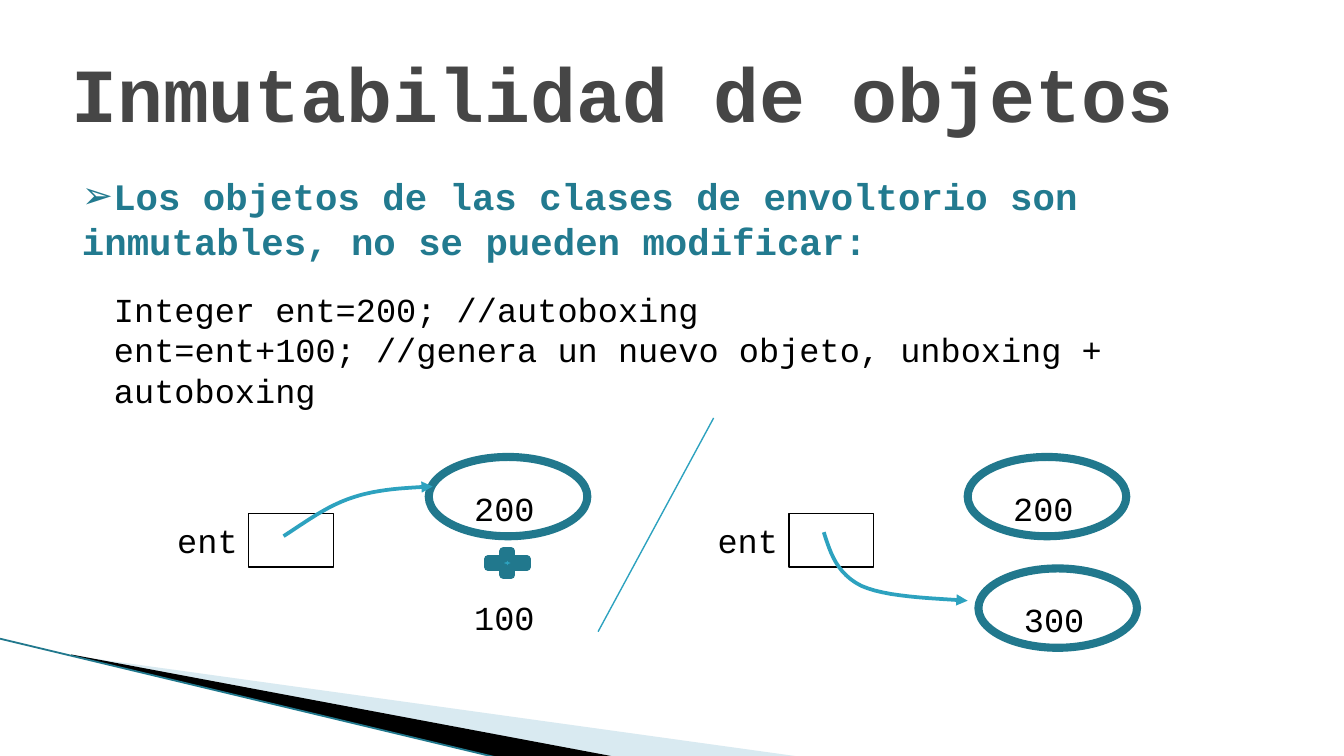
from pptx import Presentation
from pptx.dml.color import RGBColor
from pptx.enum.shapes import MSO_CONNECTOR, MSO_SHAPE
from pptx.enum.text import MSO_ANCHOR, PP_ALIGN
from pptx.oxml.ns import qn
from pptx.util import Inches, Pt
from lxml import etree

COLORS = {"title": "464646", "lead": "227A8F", "ring": "21788D", "accent": "2DA2BF",
          "pale": "A0CBDC", "black": "000000"}
FONT = "Courier New"

prs = Presentation()
prs.slide_width = Inches(10)
prs.slide_height = prs.slide_width * 9 // 16
s = prs.slides.add_slide(prs.slide_layouts[1])


def write(p, text, size=18, color="black", bold=False):
    r = p.add_run()
    r.text = text
    r.font.name, r.font.size, r.font.bold = FONT, Pt(size), bold
    r.font.color.rgb = RGBColor.from_string(COLORS[color])


def style(shape, fill=None, line=None, width=0.75, arrow=False):
    """Set fill and line, drop the shadow, and add an arrowhead if asked."""
    if hasattr(shape, "fill"):
        shape.shadow.inherit = False
        if fill:
            shape.fill.solid()
            shape.fill.fore_color.rgb = RGBColor.from_string(COLORS[fill])
        else:
            shape.fill.background()
    else:
        etree.SubElement(shape._element.spPr, qn("a:effectLst"))
    if line:
        shape.line.color.rgb = RGBColor.from_string(COLORS[line])
        shape.line.width = Pt(width)
    else:
        shape.line.fill.background()
    if arrow:
        etree.SubElement(shape.line._get_or_add_ln(), qn("a:tailEnd"), type="triangle")


# Corner wedges
wedges = [([(0.55, 4.88), (5.95, 5.63), (4.56, 5.63)], "pale"),
          ([(0.53, 4.87), (4.57, 5.63), (3.72, 5.64), (0.54, 4.88)], "black")]
for points, fill in wedges:
    emu = [(Inches(x), Inches(y)) for x, y in points]
    fb = s.shapes.build_freeform(*emu[0])
    fb.add_line_segments(emu[1:], close=True)
    wedge = fb.convert_to_shape()
    style(wedge, fill)
    if fill == "pale":
        clr = wedge._element.spPr.find(qn("a:solidFill"))[0]
        etree.SubElement(clr, qn("a:alpha"), val="40000")

# Straight lines: corner edge and divider
for x1, y1, x2, y2, color, width in [(-0.01, 4.75, 3.71, 5.64, "ring", 0.95),
                                     (5.31, 3.11, 4.45, 4.7, "accent", 0.75)]:
    line = s.shapes.add_connector(MSO_CONNECTOR.STRAIGHT, Inches(x1), Inches(y1),
                                  Inches(x2), Inches(y2))
    style(line, line=color, width=width)

# Title and lead bullet
title, body = s.shapes.title, s.placeholders[1]
for ph, box, anchor in [(title, (0.43, 0.29, 9.06, 0.89), MSO_ANCHOR.MIDDLE),
                        (body, (0.51, 1.24, 8.9, 2.54), MSO_ANCHOR.TOP)]:
    ph.left, ph.top, ph.width, ph.height = map(Inches, box)
    ph.text_frame.vertical_anchor = anchor
    ph.text_frame.paragraphs[0].alignment = PP_ALIGN.LEFT
title.text_frame.margin_bottom = Inches(0.16)
write(title.text_frame.paragraphs[0], "Inmutabilidad de objetos", 41, "title", True)
p = body.text_frame.paragraphs[0]
p.space_before, p.space_after = Pt(6), Pt(12)
pPr = p._p.get_or_add_pPr()
pPr.set("marL", "0")
pPr.set("indent", "0")
etree.SubElement(pPr, qn("a:buChar"), char="\u27a2")
write(p, "Los objetos de las clases de envoltorio son inmutables, no se pueden modificar:",
      20, "lead", True)

# Rings, variable boxes and plus sign
rings = [(3.19, 3.4), (7.2, 3.4), (7.28, 4.23)]
variables = [1.85, 5.87]
for x, y in rings:
    ring = s.shapes.add_shape(MSO_SHAPE.OVAL, Inches(x), Inches(y), Inches(1.18), Inches(0.59))
    style(ring, line="ring", width=4.33)
for x in variables:
    box = s.shapes.add_shape(MSO_SHAPE.RECTANGLE, Inches(x), Inches(3.82),
                             Inches(0.63), Inches(0.4))
    style(box, line="black")
plus = s.shapes.add_shape(MSO_SHAPE.MATH_PLUS, Inches(3.58), Inches(4.07),
                          Inches(0.39), Inches(0.24))
style(plus, "accent", "ring", 4.33)

# Code and labels
labels = [(0.75, 2.1, 8.5, 0.71, ["Integer ent=200; //autoboxing",
           "ent=ent+100; //genera un nuevo objeto, unboxing + autoboxing"]),
          (3.43, 4.39, 0.87, 0.4, ["100"])]
labels += [(x + 0.24, y + 0.18, 0.94, 0.4, [value])
           for (x, y), value in zip(rings, ["200", "200", "300"])]
labels += [(x - 0.63, 3.82, 0.71, 0.4, ["ent"]) for x in variables]
for x, y, w, h, lines in labels:
    tf = s.shapes.add_textbox(Inches(x), Inches(y), Inches(w), Inches(h)).text_frame
    tf.word_wrap = True
    for i, text in enumerate(lines):
        write(tf.add_paragraph() if i else tf.paragraphs[0], text)

# Curved reference arrows, sampled from cubic Bezier pieces
curves = [[(2.11, 3.99), (2.28, 3.88), (2.44, 3.76), (2.63, 3.7),
           (2.81, 3.64), (3.02, 3.63), (3.22, 3.62)],
          [(6.13, 3.96), (6.18, 4.12), (6.23, 4.27), (6.41, 4.36),
           (6.59, 4.44), (6.9, 4.45), (7.2, 4.47)]]
STEPS = 12
for knots in curves:
    emu = [(Inches(x), Inches(y)) for x, y in knots]
    points = []
    for k in (0, 3):
        for t in [i / STEPS for i in range(1, STEPS + 1)]:
            weights = ((1 - t) ** 3, 3 * t * (1 - t) ** 2, 3 * t * t * (1 - t), t ** 3)
            points.append([sum(w * q[axis] for w, q in zip(weights, emu[k:k + 4]))
                           for axis in (0, 1)])
    fb = s.shapes.build_freeform(*emu[0])
    fb.add_line_segments(points, close=False)
    style(fb.convert_to_shape(), line="accent", width=2, arrow=True)

prs.save("out.pptx")
